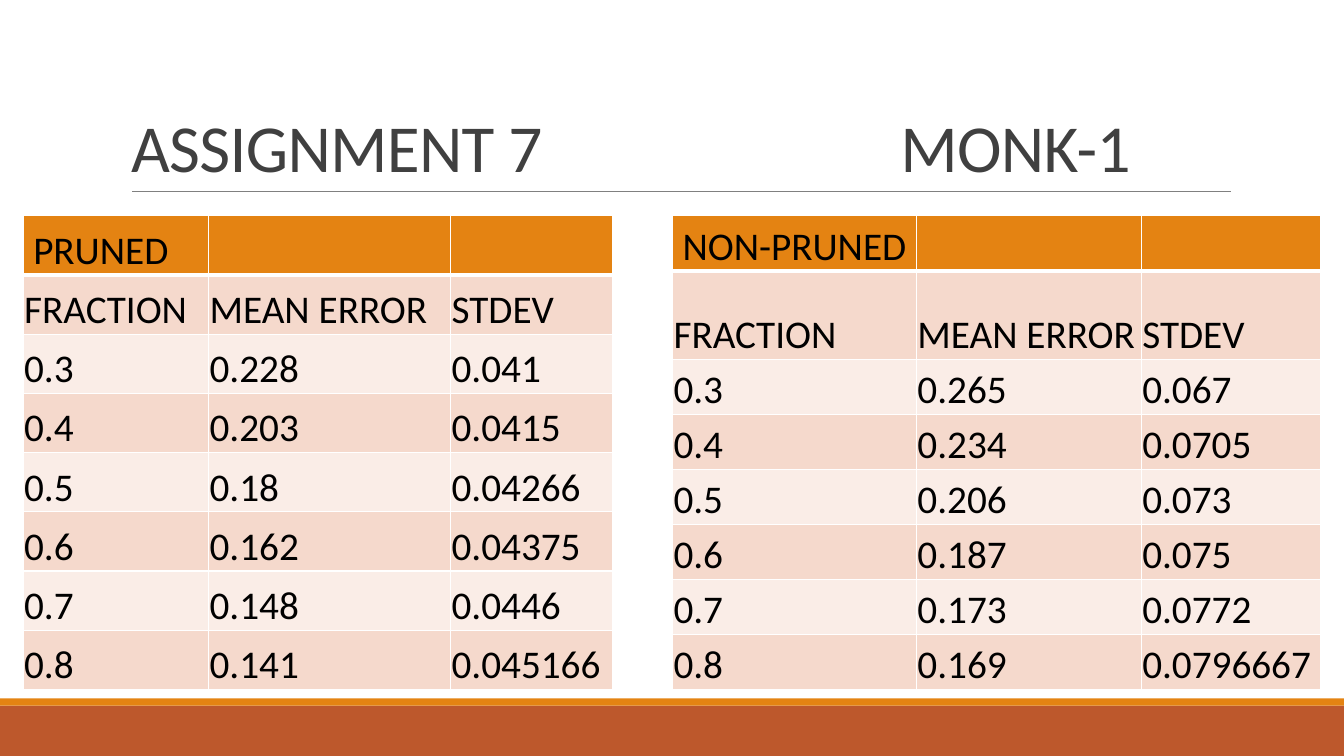
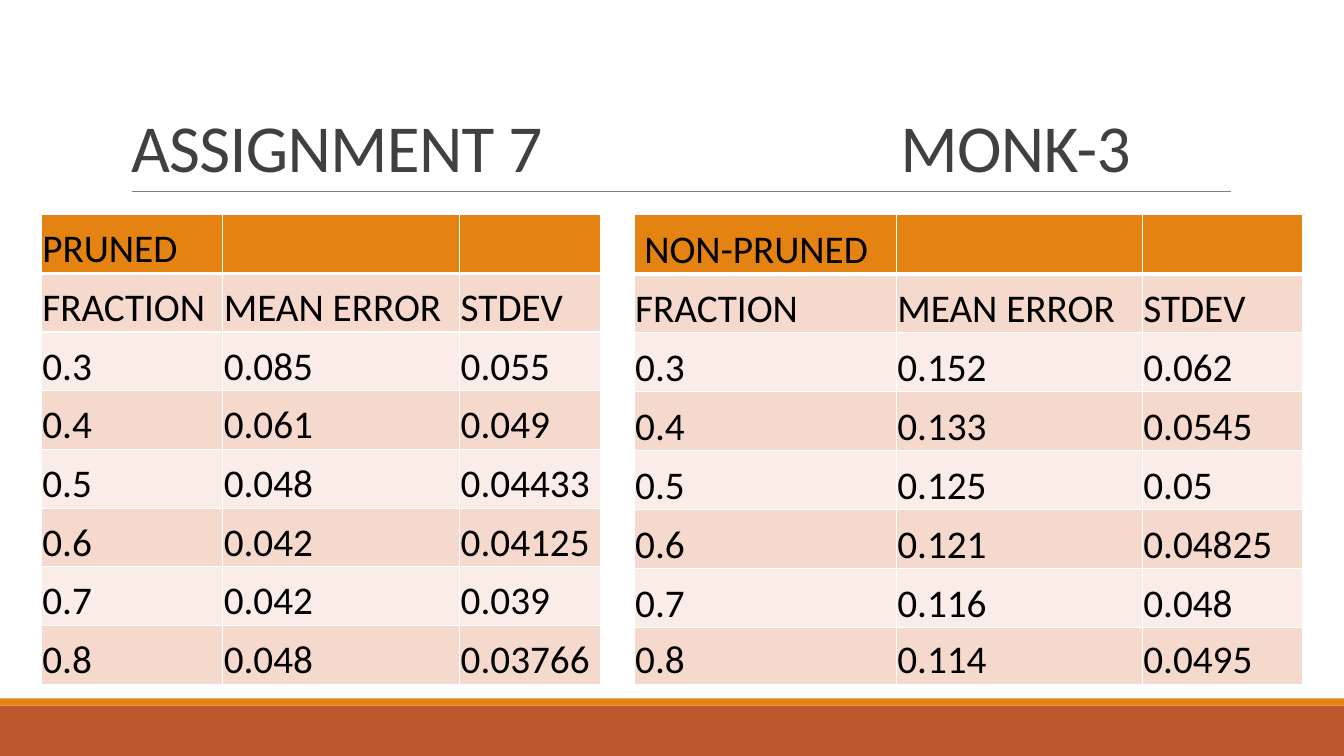
from dataclasses import dataclass

from lxml.etree import SubElement
from pptx import Presentation
from pptx.dml.color import RGBColor as RGB
from pptx.enum.shapes import MSO_CONNECTOR as CONN, MSO_SHAPE as SHAPE
from pptx.enum.text import MSO_ANCHOR as ANCHOR, PP_ALIGN as ALIGN
from pptx.oxml.ns import qn
from pptx.util import Inches, Pt


@dataclass(frozen=True)
class Theme:
    font: str = "Calibri"
    title_color: str = "404040"
    text_color: str = "000000"
    band: str = "BD582C"
    accent: str = "E48312"
    rule: str = "808080"
    border: str = "FFFFFF"
    row_fills: tuple = ("F5D9CC", "FAEDE7")
    title_size: int = 48
    cell_size: int = 28
    rule_width: float = 0.5
    border_width: int = 1
    header_border: int = 3


def apply(target, **values):
    for name, value in values.items():
        setattr(target, name, value)


class Deck:
    def __init__(self, theme):
        self.theme = theme
        self.prs = Presentation()
        apply(self.prs, slide_width=Inches(13.33), slide_height=Inches(7.5))
        self.layout = self.prs.slide_layouts[5]
        self.slide = None

    def add_slide(self):
        first = self.slide is None
        self.slide = self.prs.slides.add_slide(self.layout)
        if first:
            self.share_decor()

    def share_decor(self):
        t = self.theme
        for ph in list(self.layout.placeholders)[1:]:
            ph.element.getparent().remove(ph.element)
        decor = [
            self.band(7, 0.5, t.band),
            self.band(6.93, 0.07, t.accent),
            self.rule(1.31, 12.21, 1.9),
        ]
        for sp in decor:
            self.layout.shapes.element.append(sp.element)

    def band(self, top, height, color):
        sp = self.slide.shapes.add_shape(
            SHAPE.RECTANGLE, 0, Inches(top), self.prs.slide_width, Inches(height))
        sp.shadow.inherit = False
        sp.fill.solid()
        sp.fill.fore_color.rgb = RGB.from_string(color)
        sp.line.fill.background()
        return sp

    def rule(self, left, right, y):
        line = self.slide.shapes.add_connector(
            CONN.STRAIGHT, Inches(left), Inches(y), Inches(right), Inches(y))
        line.line.color.rgb = RGB.from_string(self.theme.rule)
        line.line.width = Pt(self.theme.rule_width)
        SubElement(line.element.spPr, qn("a:effectLst"))
        return line

    def style_run(self, r, size, color):
        apply(r.font, name=self.theme.font, size=Pt(size), bold=False)
        r.font.color.rgb = RGB.from_string(color)

    def title(self, left_text, right_text):
        sp = self.slide.shapes.title
        apply(sp, left=Inches(1.2), top=Inches(0.31),
              width=Inches(11), height=Inches(1.59))
        tf = sp.text_frame
        apply(tf, vertical_anchor=ANCHOR.BOTTOM, word_wrap=True)
        p = tf.paragraphs[0]
        apply(p, alignment=ALIGN.LEFT, line_spacing=0.85)
        tabs = SubElement(p._p.get_or_add_pPr(), qn("a:tabLst"))
        SubElement(tabs, qn("a:tab"), pos=str(Inches(7.63)), algn="l")
        r = p.add_run()
        r.text = f"{left_text}\t{right_text}"
        self.style_run(r, self.theme.title_size, self.theme.title_color)
        r.font._element.set("spc", "-50")

    def borders(self, cell, row):
        t = self.theme
        tcPr = cell._tc.get_or_add_tcPr()
        thick = {0: "lnB", 1: "lnT"}.get(row)
        for side in ("lnL", "lnR", "lnT", "lnB"):
            width = t.header_border if side == thick else t.border_width
            ln = SubElement(tcPr, qn(f"a:{side}"), w=str(Pt(width)))
            fill = SubElement(ln, qn("a:solidFill"))
            SubElement(fill, qn("a:srgbClr"), val=t.border)

    def cell(self, cell, row, text, inset):
        t = self.theme
        self.borders(cell, row)
        cell.fill.solid()
        color = t.row_fills[(row - 1) % 2] if row else t.accent
        cell.fill.fore_color.rgb = RGB.from_string(color)
        if text:
            apply(cell, vertical_anchor=ANCHOR.BOTTOM, margin_left=Inches(inset),
                  margin_top=Inches(0.01), margin_right=Inches(0.01), margin_bottom=0)
            r = cell.text_frame.paragraphs[0].add_run()
            r.text = text
            self.style_run(r, t.cell_size, t.text_color)

    def table(self, name, left, top, height, widths, means, stdevs,
              name_inset=0.1, fixed_rows=None):
        fixed = fixed_rows or {}
        rows = [(name, "", ""), ("FRACTION", "MEAN ERROR", "STDEV"),
                *zip(FRACTIONS, means.split(), stdevs.split())]
        even = (height - sum(fixed.values())) / (len(rows) - len(fixed))
        tbl = self.slide.shapes.add_table(
            len(rows), len(widths), Inches(left), Inches(top),
            Inches(sum(widths)), Inches(height)).table
        tbl.horz_banding = False
        for col, width in zip(tbl.columns, widths):
            col.width = Inches(width)
        for i, values in enumerate(rows):
            tbl.rows[i].height = Inches(fixed.get(i, even))
            for j, text in enumerate(values):
                self.cell(tbl.cell(i, j), i, text, 0.01 if i else name_inset)


FRACTIONS = ("0.3", "0.4", "0.5", "0.6", "0.7", "0.8")

RESULTS = {
    "MONK-1": [
        dict(name="PRUNED", left=0.23, top=2.14, height=4.7,
             widths=(1.84, 2.4, 1.61),
             means="0.228 0.203 0.18 0.162 0.148 0.141",
             stdevs="0.041 0.0415 0.04266 0.04375 0.0446 0.045166"),
        dict(name="NON-PRUNED", left=6.67, top=2.14, height=4.7,
             widths=(2.42, 2.23, 1.78), fixed_rows={1: 0.88},
             means="0.265 0.234 0.206 0.187 0.173 0.169",
             stdevs="0.067 0.0705 0.073 0.075 0.0772 0.0796667"),
    ],
    "MONK-3": [
        dict(name="PRUNED", left=0.41, top=2.13, height=4.66,
             widths=(1.8, 2.35, 1.4), name_inset=0.01,
             means="0.085 0.061 0.048 0.042 0.042 0.048",
             stdevs="0.055 0.049 0.04433 0.04125 0.039 0.03766"),
        dict(name="NON-PRUNED", left=6.29, top=2.13, height=4.66,
             widths=(2.6, 2.44, 1.59), fixed_rows={7: 0.56},
             means="0.152 0.133 0.125 0.121 0.116 0.114",
             stdevs="0.062 0.0545 0.05 0.04825 0.048 0.0495"),
    ],
}


def main():
    deck = Deck(Theme())
    for dataset, tables in RESULTS.items():
        deck.add_slide()
        deck.title("ASSIGNMENT 7", dataset)
        for table in tables:
            deck.table(**table)
    deck.prs.save("out.pptx")


if __name__ == "__main__":
    main()
